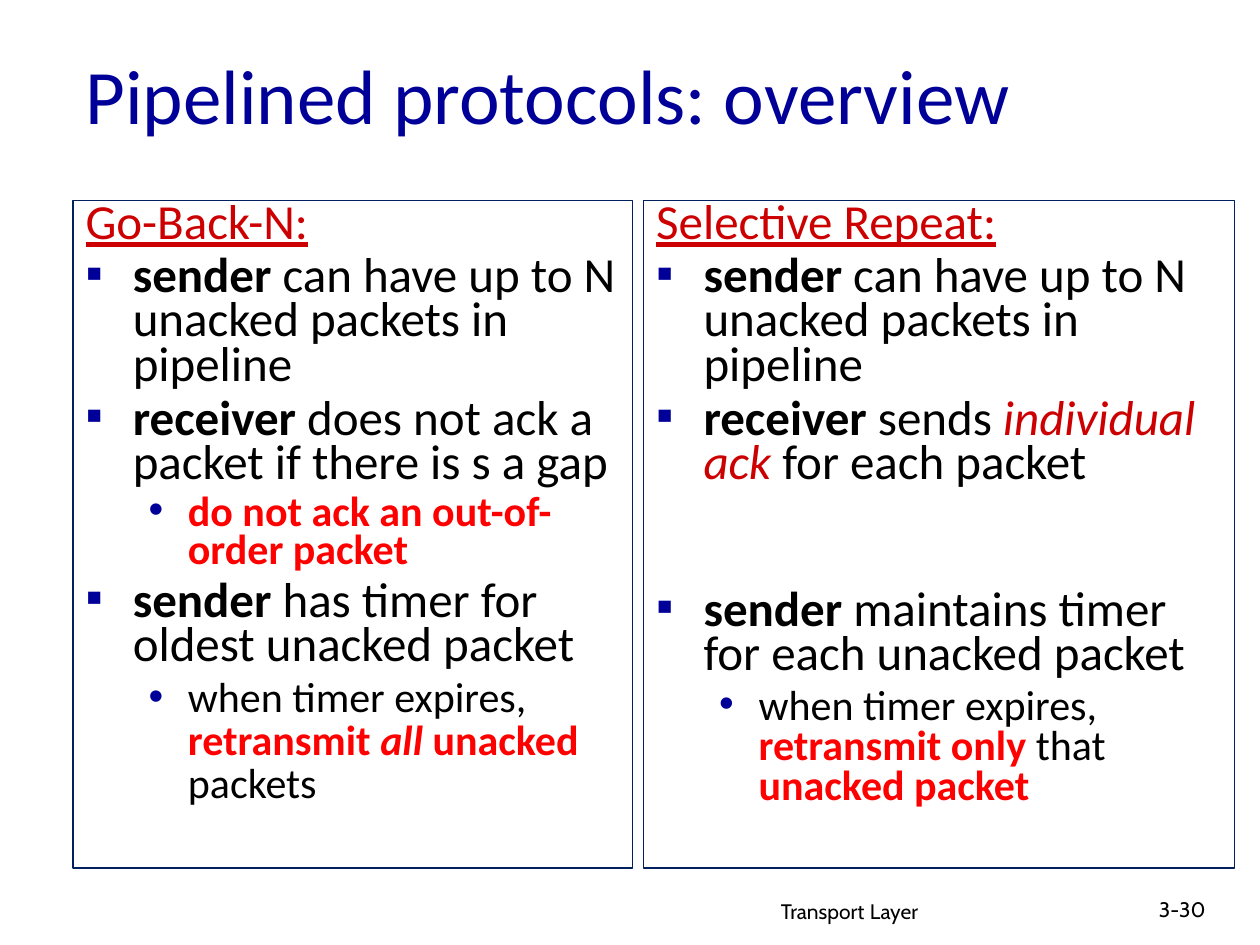
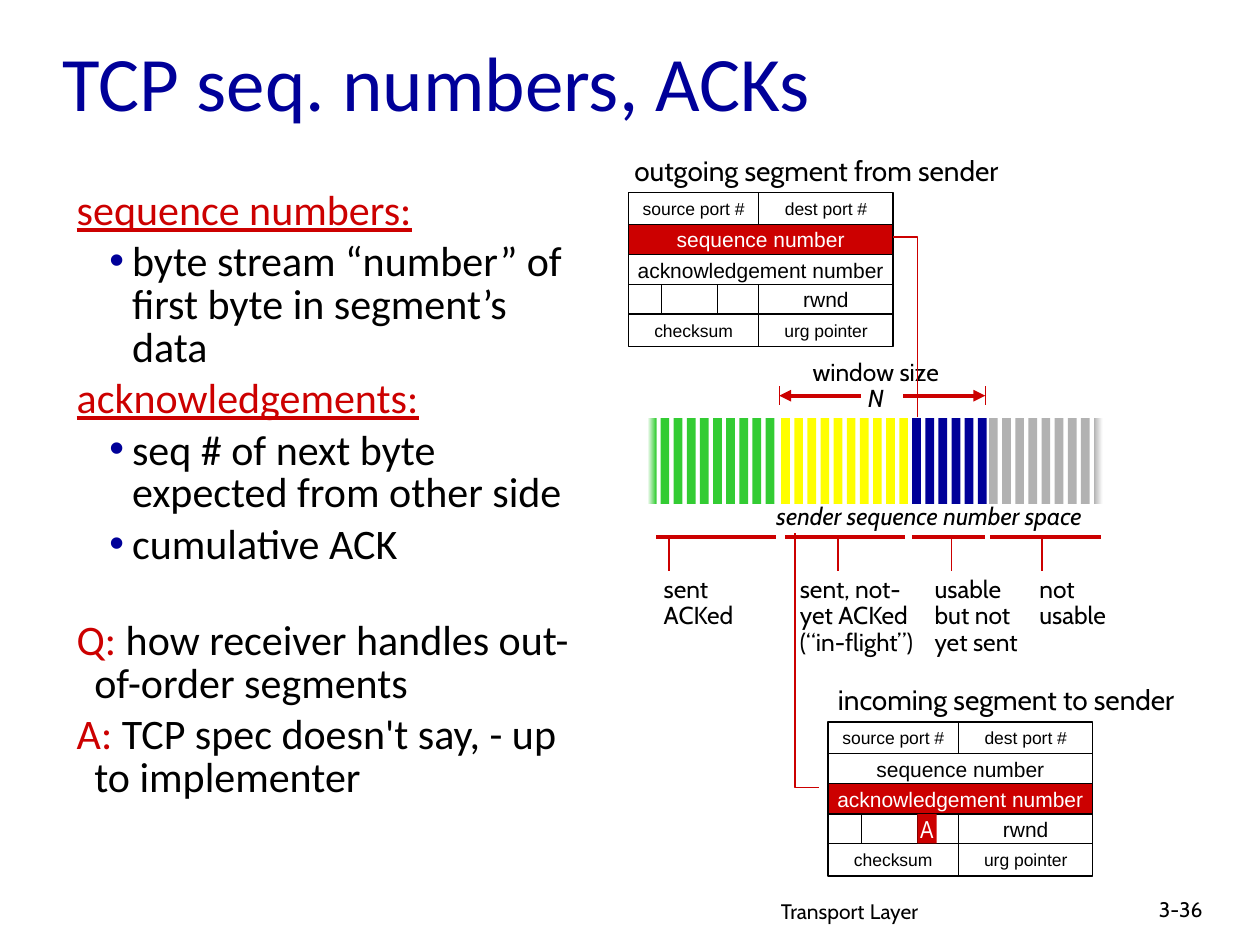
from lxml import etree
from pptx import Presentation
from pptx.dml.color import RGBColor
from pptx.enum.shapes import MSO_CONNECTOR, MSO_SHAPE
from pptx.enum.text import MSO_ANCHOR, PP_ALIGN
from pptx.oxml.ns import qn
from pptx.util import Pt

RECT, STRAIGHT = MSO_SHAPE.RECTANGLE, MSO_CONNECTOR.STRAIGHT
CENTER, MIDDLE, TOP = PP_ALIGN.CENTER, MSO_ANCHOR.MIDDLE, MSO_ANCHOR.TOP

# Shared colours and text styles
BLUE, RED, BRIGHT, NAVY = "000099", "CC0000", "FF0000", "002060"
BLACK, WHITE = "000000", "FFFFFF"
GREEN, YELLOW, GRAY = "33CC33", "FFFF00", "B2B2B2"
TITLE = dict(size=44, color=BLUE, anchor=MIDDLE)
NOTE = dict(font="Cabin", size=12)
LABEL = dict(font="Cabin", size=14, spacing=0.9)
STRONG, ALERT = dict(bold=True), dict(bold=True, color=BRIGHT)
RED_RUN = dict(color=RED)

# Slide 1: each paragraph is (runs, format)
HEAD = dict(size=28, color=RED, underline=True, spacing=0.7)
ITEM = dict(size=28, left=27, hang=27, bullet="▪", spacing=0.75, before=5.6)
SUB = dict(size=24, left=58.5, hang=22.5, bullet="•", spacing=0.75, before=4.8)
WINDOW_RULE = ([("sender", STRONG), " can have up to N unacked packets in pipeline"], ITEM)
PROTOCOLS = [
    ((41.8, 114.5, 319.7, 381.6), [
        ("Go-Back-N:", HEAD),
        WINDOW_RULE,
        ([("receiver", STRONG), " does not ack a packet if there is s a gap"], ITEM),
        ([("do not ack an out-of-order packet", ALERT)], SUB),
        ([("sender", STRONG), " has timer for oldest unacked packet"], ITEM),
        (["when timer expires, ", ("retransmit ", ALERT),
          ("all", ALERT | dict(italic=True)), (" unacked ", ALERT), "packets"],
         SUB | dict(spacing=0.85)),
    ]),
    ((367.9, 114.5, 337.7, 381.6), [
        ("Selective Repeat:", HEAD),
        WINDOW_RULE,
        ([("receiver", STRONG), " sends ",
          ("individual ack", dict(color=RED, italic=True)), " for each packet"], ITEM),
        ([("sender ", STRONG), "maintains timer for each unacked packet"],
         ITEM | dict(before=59)),
        (["when timer expires, ", ("retransmit only ", ALERT), "that ",
          ("unacked packet", ALERT)], SUB | dict(spacing=0.8)),
    ]),
]

# Slide 2: explanation on the left
TOPIC = dict(size=24, left=18.7, hang=10, spacing=0.85, before=4.8)
TERM = TOPIC | dict(color=RED, underline=True)
POINT = TOPIC | dict(left=40.3, hang=13, bullet="•")
SEQUENCE_NOTES = [
    ("sequence numbers:", TERM | dict(before=0)),
    ("byte stream “number” of first byte in segment’s data", POINT),
    ("acknowledgements:", TERM),
    ("seq # of next byte expected from other side", POINT),
    ("cumulative ACK", POINT),
    ([("Q:", RED_RUN), " how receiver handles out-of-order segments"],
     TOPIC | dict(before=30.4)),
    ([("A: ", RED_RUN), "TCP spec doesn't say, - up to implementer"], TOPIC),
]

# TCP segment: row edges, column edges and cells (text, row, first column, last column, size)
ROWS = [0, 18, 35.3, 52.5, 69.3, 88]
COLS = [0, 19, 51, 74.5, 151.3]
FIELDS = [
    ("source port #", 0, 0, 3, 10), ("dest port #", 0, 3, 4, 10),
    ("sequence number", 1, 0, 4, 12), ("acknowledgement number", 2, 0, 4, 12),
    ("rwnd", 3, 3, 4, 12), ("checksum", 4, 0, 3, 10), ("urg pointer", 4, 3, 4, 10),
]
DIVIDERS = [(3, 0, 1), (3, 3, 5), (2, 3, 4), (1, 3, 4)]  # column, top row, bottom row
# Heading, heading centre, left, top, highlighted row, flag, lead line
SEGMENTS = [
    ("incoming segment to sender", 575, 473.2, 412.6, 2, "A",
     [(468, 450), (454.3, 450), (454.3, 304.8)]),
    ("outgoing segment from sender", 466.6, 359.1, 110.2, 1, None,
     [(510.5, 135.4), (524.2, 135.4), (524.2, 238.4)]),
]

# Sequence number space: first bar, bars, colour, rule ends, tick, label left, width, label
BARS_TOP, BAR_W, BAR_H, BAR_STEP = 239, 5, 49, 7.5
RULE_Y, LABEL_Y = 306.7, 326.2
RANGES = [
    (370, 10, GREEN, 375.1, 443.5, 382.3, 372.2, 60, ["sent", "ACKed"]),
    (446.4, 10, YELLOW, 448.6, 517, 478.8, 450, 84.2, ["sent, not-yet ACKed", "(“in-flight”)"]),
    (521.3, 6, BLUE, 521.3, 563, 543.6, 527, 84.2, ["usable", "but not", "yet sent"]),
    (565.2, 9, GRAY, 565.9, 629.3, 595.4, 586.8, 65, ["not", "usable"]),
]
WINDOW_ARROWS = [(516.2, 563), (491.8, 445.3)]  # from, to
WINDOW_Y = 226.1


def rgb(color):
    return RGBColor.from_string(color)


def fill_text(tf, paras, anchor=TOP, wrap=True, inset=None, **base):
    """Write strings or (runs, format) pairs into a text frame."""
    tf.word_wrap, tf.vertical_anchor = wrap, anchor
    if inset is not None:
        tf.margin_left = tf.margin_right = tf.margin_top = tf.margin_bottom = Pt(inset)
    for i, para in enumerate([paras] if isinstance(paras, str) else paras):
        runs, own = para if isinstance(para, tuple) else (para, {})
        fmt = base | own
        p = tf.paragraphs[0] if i == 0 else tf.add_paragraph()
        pPr = p._p.get_or_add_pPr()
        if "left" in fmt:
            pPr.set("marL", str(Pt(fmt["left"])))
            pPr.set("indent", str(-Pt(fmt["hang"])))
        if "bullet" in fmt:
            clr = etree.SubElement(pPr, qn("a:buClr"))
            etree.SubElement(clr, qn("a:srgbClr"), val=BLUE)
            etree.SubElement(pPr, qn("a:buFont"), typeface="Arial")
            etree.SubElement(pPr, qn("a:buChar"), char=fmt["bullet"])
        p.alignment = fmt.get("align")
        p.line_spacing = fmt.get("spacing", 1.0)
        p.space_before = Pt(fmt.get("before", 0) if i else 0)
        for run in [runs] if isinstance(runs, str) else runs:
            words, extra = run if isinstance(run, tuple) else (run, {})
            look = fmt | extra
            r = p.add_run()
            r.text = words
            r.font.name, r.font.size = look.get("font", "Calibri"), Pt(look["size"])
            r.font.color.rgb = rgb(look.get("color", BLACK))
            r.font.bold, r.font.italic = look.get("bold"), look.get("italic")
            r.font.underline = look.get("underline")


def add_text(slide, box, paras, **fmt):
    sp = slide.shapes.add_textbox(*map(Pt, box))
    fill_text(sp.text_frame, paras, **fmt)


def paint(sp, fill=None, line=None):
    sp.shadow.inherit = False
    if fill:
        sp.fill.solid()
        sp.fill.fore_color.rgb = rgb(fill)
    else:
        sp.fill.background()
    if line:
        sp.line.color.rgb, sp.line.width = rgb(line), Pt(0.75)
    else:
        sp.line.fill.background()
    return sp


def add_rect(slide, box, fill=None, line=None):
    return paint(slide.shapes.add_shape(RECT, *map(Pt, box)), fill, line)


def add_line(slide, x1, y1, x2, y2, color=RED, width=0.75, arrow=False):
    c = slide.shapes.add_connector(STRAIGHT, *map(Pt, (x1, y1, x2, y2)))
    c.line.color.rgb, c.line.width = rgb(color), Pt(width)
    if arrow:
        etree.SubElement(c.line._get_or_add_ln(), qn("a:tailEnd"), type="triangle")
    etree.SubElement(c._element.spPr, qn("a:effectLst"))


def fade(sp, start, end):
    sp.fill.gradient()
    sp.fill.gradient_angle = 0
    for stop, color in zip(sp.fill.gradient_stops, (start, end)):
        stop.color.rgb = rgb(color)


def new_slide(prs, title, title_box, number):
    slide = prs.slides.add_slide(prs.slide_layouts[6])
    add_text(slide, (439.2, 507.6, 228.2, 22.3),
             [["Transport", (" ", dict(size=14)), "Layer"]], **NOTE)
    add_text(slide, (655.2, 509, 53.3, 21.6), number, **NOTE)
    add_text(slide, title_box, title, **TITLE)
    return slide


def add_segment(slide, heading, heading_x, x, y, marked, flag, lead):
    def cell(row, first, last):
        return x + COLS[first], y + ROWS[row], COLS[last] - COLS[first], ROWS[row + 1] - ROWS[row]

    add_rect(slide, cell(marked, 0, 4), RED)
    add_rect(slide, (x, y, COLS[-1], ROWS[-1]), line=BLACK)
    for words, row, first, last, size in FIELDS:
        add_text(slide, cell(row, first, last), words, font="Arial", size=size, align=CENTER,
                 anchor=MIDDLE, wrap=False, inset=0, color=WHITE if row == marked else BLACK)
    for edge in ROWS[1:-1]:
        add_line(slide, x, y + edge, x + COLS[-1], y + edge, BLACK)
    for col, top, bottom in DIVIDERS:
        add_line(slide, x + COLS[col], y + ROWS[top], x + COLS[col], y + ROWS[bottom], BLACK)
    if flag:
        left, top, _, height = cell(3, 2, 3)
        sp = add_rect(slide, (left, top, 11, height), RED)
        fill_text(sp.text_frame, flag, font="Arial Narrow", size=14, color=WHITE,
                  align=CENTER, anchor=MIDDLE, wrap=False, inset=0)
    add_text(slide, (heading_x - 116, y - 26, 232, 26.6), heading, font="Cabin", size=16,
             align=CENTER, wrap=False)
    points = [(Pt(px), Pt(py)) for px, py in lead]
    outline = slide.shapes.build_freeform(*points[0], scale=1.0)
    outline.add_line_segments(points[1:], close=False)
    paint(outline.convert_to_shape(), line=RED)


def add_number_space(slide):
    bars = []
    for first, count, color, start, end, tick, left, width, label in RANGES:
        for i in range(count):
            box = (first + i * BAR_STEP, BARS_TOP, BAR_W, BAR_H)
            bars.append(add_rect(slide, box, color))
        add_line(slide, start, RULE_Y, end, RULE_Y, width=2.25)
        add_line(slide, tick, RULE_Y + 1.5, tick, LABEL_Y)
        add_text(slide, (left, LABEL_Y, width, 18 * len(label)), label, **LABEL)
    fade(bars[0], WHITE, GREEN)
    fade(bars[-1], GRAY, WHITE)
    # Window size above the bars, name of the space below them
    add_text(slide, (455.8, 202.3, 89.3, 37.4),
             ["window size", ("N", dict(italic=True))], align=CENTER, wrap=False, **LABEL)
    for start, end in WINDOW_ARROWS:
        add_line(slide, start, WINDOW_Y, end, WINDOW_Y, width=2.25, arrow=True)
        add_line(slide, end, WINDOW_Y - 5.4, end, WINDOW_Y + 5.4)
    add_text(slide, (425, 283, 212, 23.8), "sender sequence number space", font="Cabin",
             size=14, italic=True, align=CENTER, wrap=False)


def main():
    prs = Presentation()
    prs.slide_width, prs.slide_height = Pt(720), Pt(540)

    # Slide 1: two protocols side by side
    slide = new_slide(prs, "Pipelined protocols: overview", (41.8, 16.6, 612, 73.4), "3-30")
    for box, paras in PROTOCOLS:
        sp = add_rect(slide, box, line=NAVY)
        fill_text(sp.text_frame, paras)

    # Slide 2: notes, segments and number space
    slide = new_slide(prs, "TCP seq. numbers, ACKs", (28.8, 11.5, 612, 69.8), "3-36")
    add_text(slide, (28.1, 105.8, 309.6, 365.8), SEQUENCE_NOTES)
    incoming, outgoing = SEGMENTS
    add_segment(slide, *incoming)
    add_number_space(slide)
    add_segment(slide, *outgoing)

    prs.save("out.pptx")


if __name__ == "__main__":
    main()
